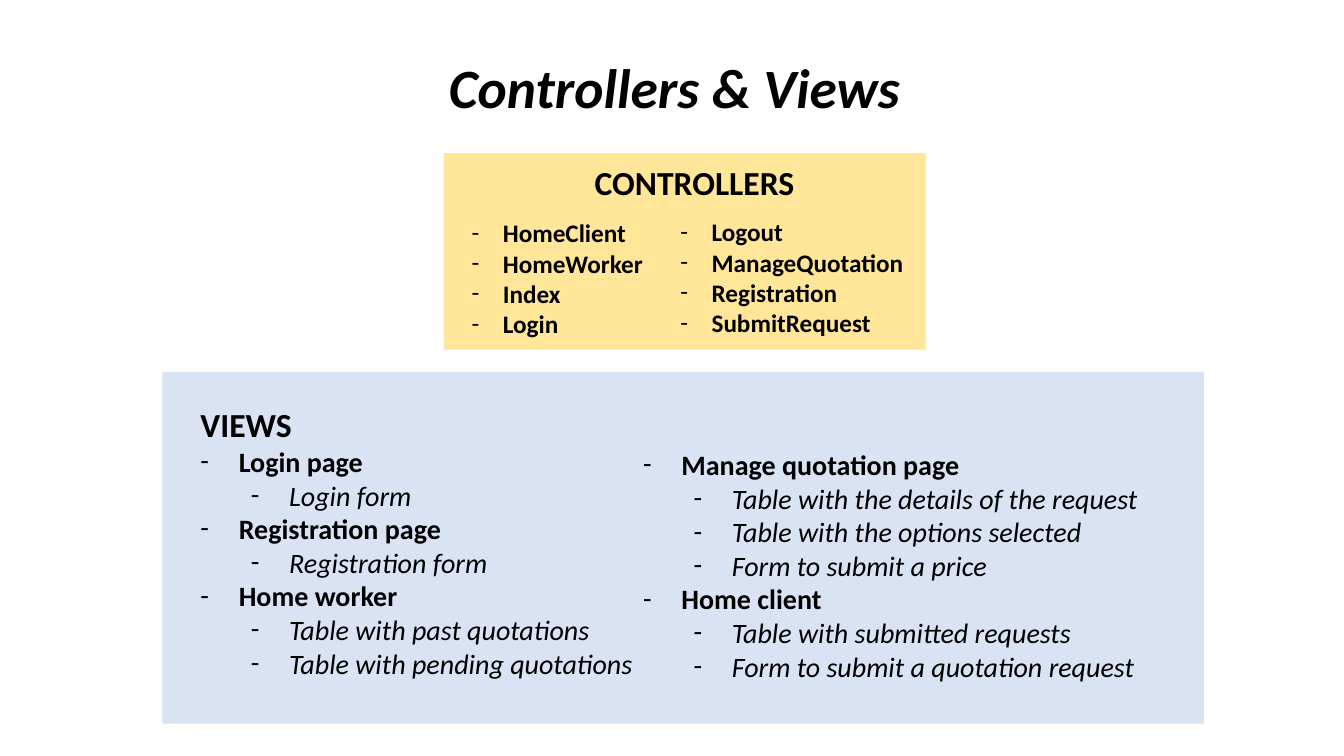
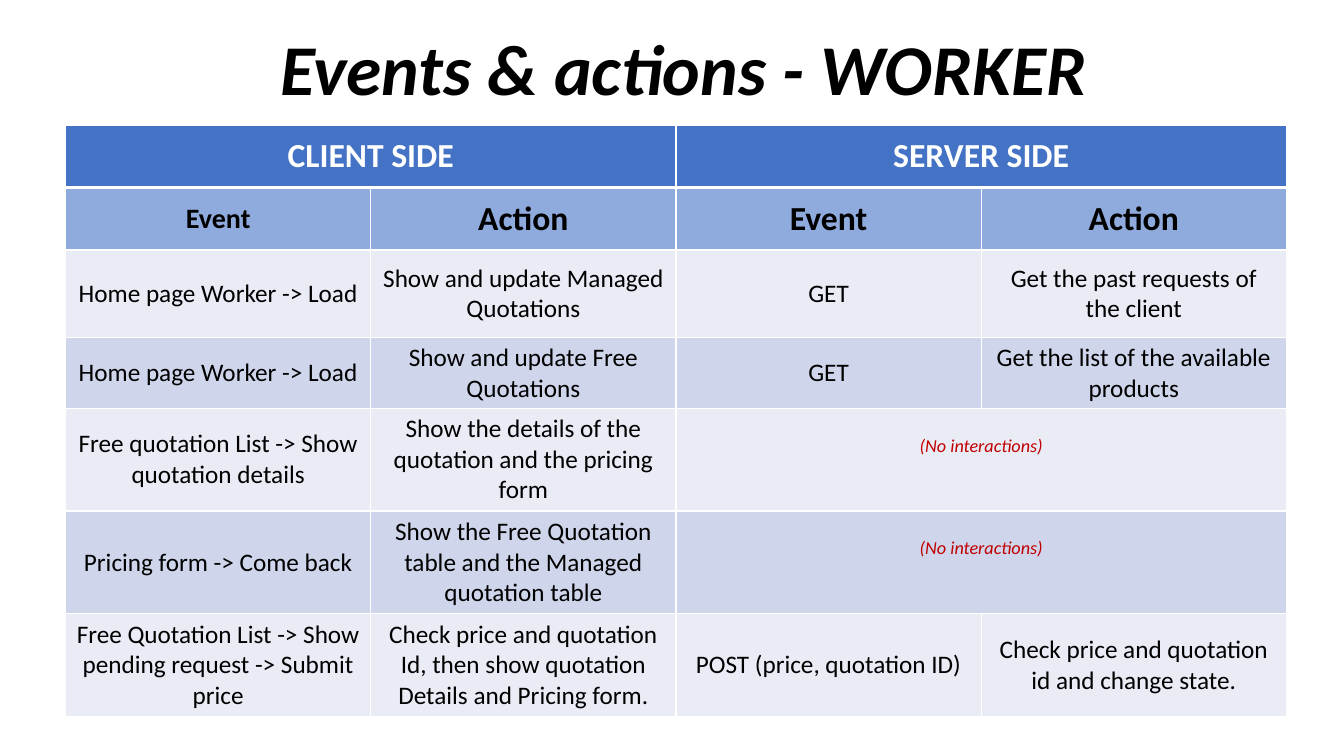
from typing import NamedTuple

from pptx import Presentation
from pptx.dml.color import RGBColor
from pptx.enum import shapes, text
from pptx.oxml import parse_xml
from pptx.oxml.ns import nsdecls
from pptx.util import Emu, Inches, Pt

FONT = "Calibri"
COLORS = {
    "black": "000000",
    "white": "FFFFFF",
    "views": "DAE3F3",
    "controllers": "FFE699",
    "side": "4472C4",
    "heading": "8FAADC",
    "light": "E9EBF5",
    "dark": "CFD5EA",
    "note": "C00000",
}


class Box(NamedTuple):
    left: float
    top: float
    width: float
    height: float

    def lengths(self) -> list:
        return [Inches(value) for value in self]


class Style(NamedTuple):
    size: float
    bold: bool = False
    italic: bool = False
    color: str = "black"


class Line(NamedTuple):
    words: str
    style: Style
    indent: float = 0  # left margin of a dashed line
    hang: float = 0
    level: int = 0


class Cell(NamedTuple):
    words: str
    style: Style
    span: int = 1
    bottom_margin: float = 0.05


class Row(NamedTuple):
    height: float
    fill: str
    cells: list


HEADING = Style(24, bold=True)
BODY = Style(18)


def rgb(name: str) -> RGBColor:
    return RGBColor.from_string(COLORS[name])


def style_paragraph(paragraph, style: Style) -> None:
    font = paragraph.font
    font.name, font.size = FONT, Pt(style.size)
    font.bold, font.italic = style.bold, style.italic
    font.color.rgb = rgb(style.color)


def heading(words: str) -> Line:
    return Line(words, HEADING)


def controller(words: str) -> Line:
    return Line(words, Style(18, bold=True), 0.31, 0.31)


def page(words: str) -> Line:
    return Line(words, Style(20, bold=True), 0.38, 0.38)


def part(words: str) -> Line:
    return Line(words, Style(20, italic=True), 0.88, 0.38, 1)


def add_panel(slide, box: Box, fill: str) -> None:
    panel = slide.shapes.add_shape(shapes.MSO_SHAPE.RECTANGLE, *box.lengths())
    panel.shadow.inherit = False
    panel.fill.solid()
    panel.fill.fore_color.rgb = rgb(fill)
    panel.line.fill.background()


def add_lines(slide, box: Box, lines: list[Line]):
    frame = slide.shapes.add_textbox(*box.lengths()).text_frame
    frame.word_wrap = True
    for number, line in enumerate(lines):
        paragraph = frame.add_paragraph() if number else frame.paragraphs[0]
        paragraph.text = line.words
        paragraph.level = line.level
        if line.hang:
            properties = paragraph._p.get_or_add_pPr()
            properties.set("marL", str(Inches(line.indent)))
            properties.set("indent", str(-Inches(line.hang)))
            properties.append(parse_xml(f'<a:buFont {nsdecls("a")} typeface="{FONT}"/>'))
            properties.append(parse_xml(f'<a:buChar {nsdecls("a")} char="-"/>'))
        style_paragraph(paragraph, line.style)
    return frame


def add_title(slide, words: str, box: Box, size: float, spacing: float, anchor) -> None:
    frame = add_lines(slide, box, [Line(words, Style(size, bold=True, italic=True))])
    frame.vertical_anchor = anchor
    frame.paragraphs[0].alignment = text.PP_ALIGN.CENTER
    frame.paragraphs[0].line_spacing = spacing


def set_borders(cell, top: float, bottom: float) -> None:
    properties = cell._tc.get_or_add_tcPr()
    widths = {"lnL": 1, "lnR": 1, "lnT": top, "lnB": bottom}
    for place, (side, width) in enumerate(widths.items()):
        properties.insert(place, parse_xml(
            f'<a:{side} {nsdecls("a")} w="{Pt(width)}"><a:solidFill>'
            f'<a:srgbClr val="{COLORS["white"]}"/></a:solidFill></a:{side}>'))


def add_event_table(slide, box: Box, rows: list[Row], columns: int) -> None:
    table = slide.shapes.add_table(len(rows), columns, *box.lengths()).table
    table.first_row = table.horz_banding = False
    for column in table.columns:
        column.width = Emu(Inches(box.width) // columns)
    for number, row in enumerate(rows):
        table.rows[number].height = Inches(row.height)
        for position in range(columns):
            cell = table.cell(number, position)
            cell.fill.solid()
            cell.fill.fore_color.rgb = rgb(row.fill)
            # A thick rule parts the sides from the rows below
            set_borders(cell, 3 if number == 1 else 1, 3 if number == 0 else 1)
        position = 0
        for content in row.cells:
            cell = table.cell(number, position)
            if content.span > 1:
                cell.merge(table.cell(number, position + content.span - 1))
            cell.vertical_anchor = text.MSO_ANCHOR.MIDDLE
            cell.margin_bottom = Inches(content.bottom_margin)
            paragraph = cell.text_frame.paragraphs[0]
            paragraph.text = content.words
            paragraph.alignment = text.PP_ALIGN.CENTER
            style_paragraph(paragraph, content.style)
            position += content.span


def body_cells(*words: str) -> list[Cell]:
    return [Cell(entry, BODY) for entry in words]


def build_controllers_and_views(slide) -> None:
    add_title(slide, "Controllers & Views", Box(2.19, 0.55, 9, 0.94), 39.6, 0.9,
              text.MSO_ANCHOR.TOP)

    # Controllers
    add_panel(slide, Box(4.4, 1.52, 4.78, 1.95), "controllers")
    add_lines(slide, Box(5.8, 1.56, 2.29, 0.5), [heading("CONTROLLERS")])
    add_lines(slide, Box(4.58, 2.11, 2.44, 1.31), [
        controller(name) for name in ("HomeClient", "HomeWorker", "Index", "Login")])
    add_lines(slide, Box(6.65, 2.1, 2.5, 1.31), [
        controller(name)
        for name in ("Logout", "ManageQuotation", "Registration", "SubmitRequest")])

    # Views
    add_panel(slide, Box(1.61, 3.69, 10.33, 3.49), "views")
    add_lines(slide, Box(1.89, 3.96, 4.67, 2.86), [
        heading("VIEWS"),
        page("Login page"),
        part("Login form"),
        page("Registration page"),
        part("Registration form"),
        page("Home worker"),
        part("Table with past quotations"),
        part("Table with pending quotations"),
    ])
    add_lines(slide, Box(6.28, 4.39, 5.55, 2.46), [
        page("Manage quotation page"),
        part("Table with the details of the request"),
        part("Table with the options selected"),
        part("Form to submit a price"),
        page("Home client"),
        part("Table with submitted requests"),
        part("Form to submit a quotation request"),
    ])


def build_worker_events(slide) -> None:
    add_title(slide, "Events & actions - WORKER", Box(2.28, 0.33, 9, 0.79), 51, 0.7,
              text.MSO_ANCHOR.BOTTOM)
    side = HEADING._replace(color="white")
    no_interactions = Cell("(No interactions)", Style(13, italic=True, color="note"),
                           span=2, bottom_margin=0.32)
    rows = [
        Row(0.62, "side", [Cell("CLIENT SIDE", side, 2), Cell("SERVER SIDE", side, 2)]),
        Row(0.62, "heading", [
            Cell("Event", HEADING._replace(size=20)), Cell("Action", HEADING),
            Cell("Event", HEADING), Cell("Action", HEADING)]),
        Row(0.87, "light", body_cells(
            "Home page Worker -> Load", "Show and update Managed Quotations",
            "GET", "Get the past requests of the client")),
        Row(0.7, "dark", body_cells(
            "Home page Worker -> Load", "Show and update Free Quotations",
            "GET", "Get the list of the available products")),
        Row(1.02, "light", body_cells(
            "Free quotation List -> Show quotation details",
            "Show the details of the quotation and the pricing form") + [no_interactions]),
        Row(1.02, "dark", body_cells(
            "Pricing form -> Come back",
            "Show the Free Quotation table and the Managed quotation table")
            + [no_interactions]),
        Row(1.02, "light", body_cells(
            "Free Quotation List -> Show pending request -> Submit price",
            "Check price and quotation Id, then show quotation Details and Pricing form.",
            "POST (price, quotation ID)", "Check price and quotation id and change state.")),
    ]
    height = sum(row.height for row in rows)
    add_event_table(slide, Box(0.65, 1.24, 12.11, height), rows, 4)


def main() -> None:
    deck = Presentation()
    deck.slide_width, deck.slide_height = Inches(13.33), Inches(7.5)
    blank = deck.slide_layouts[6]
    for build in (build_controllers_and_views, build_worker_events):
        build(deck.slides.add_slide(blank))
    deck.save("out.pptx")


if __name__ == "__main__":
    main()
